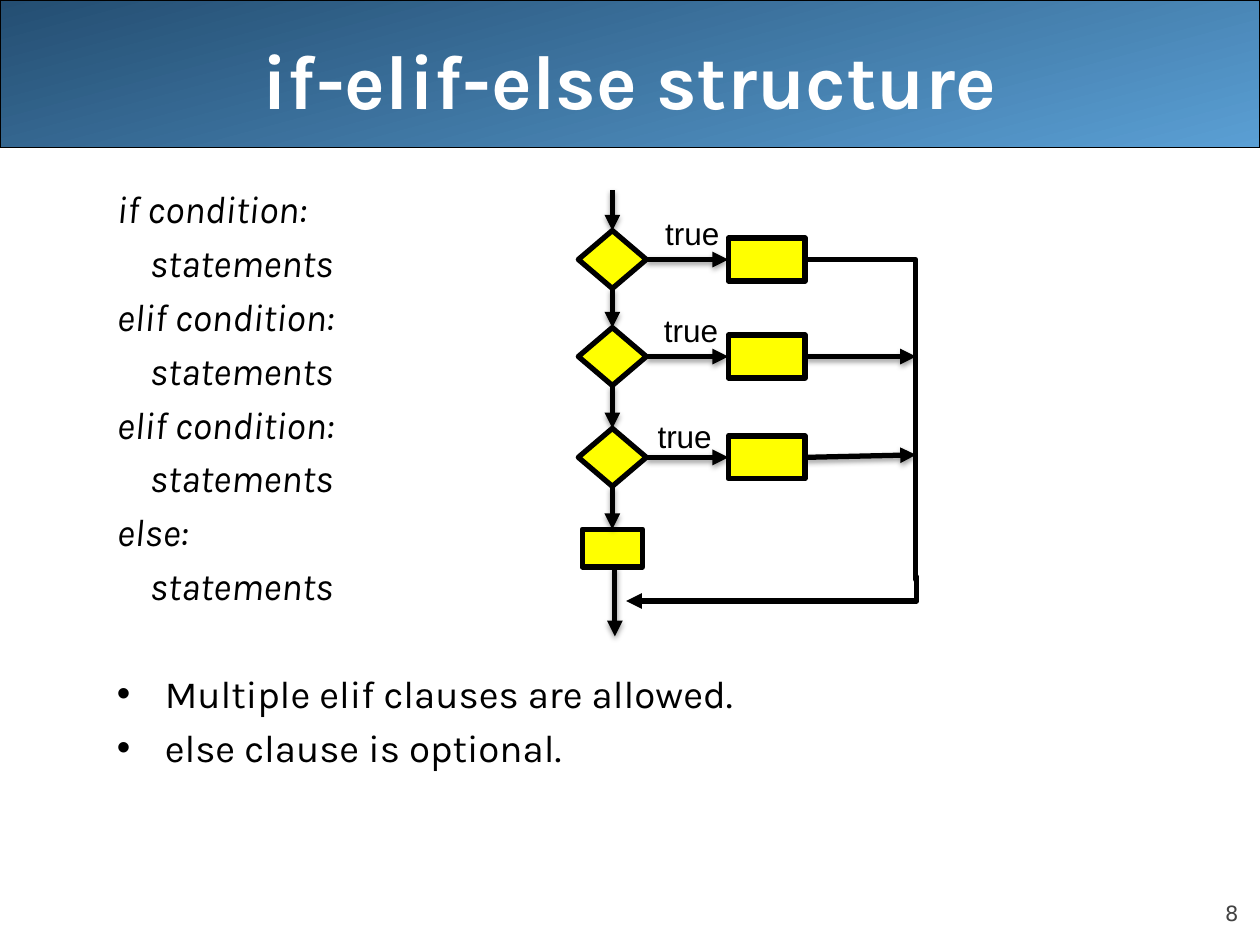
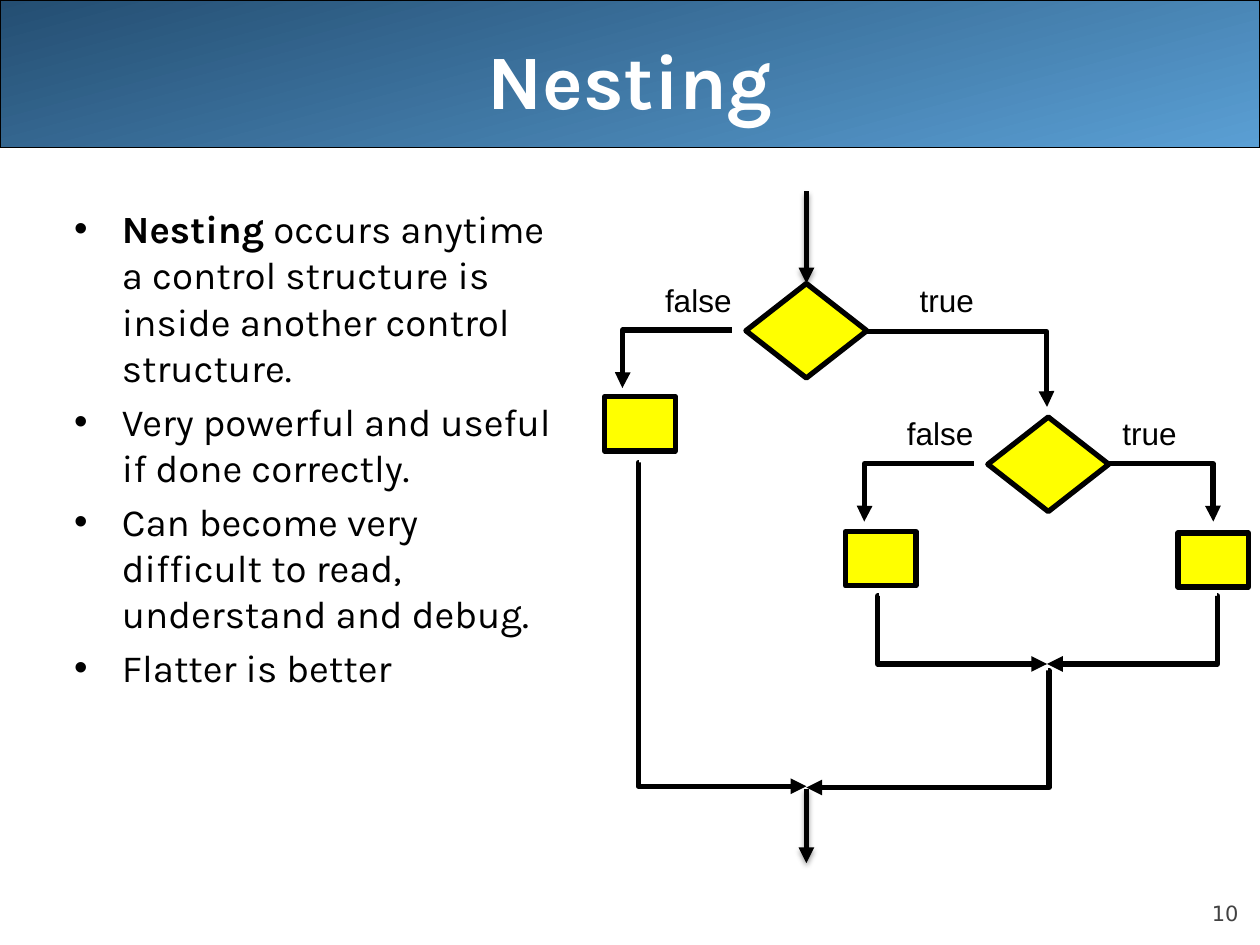
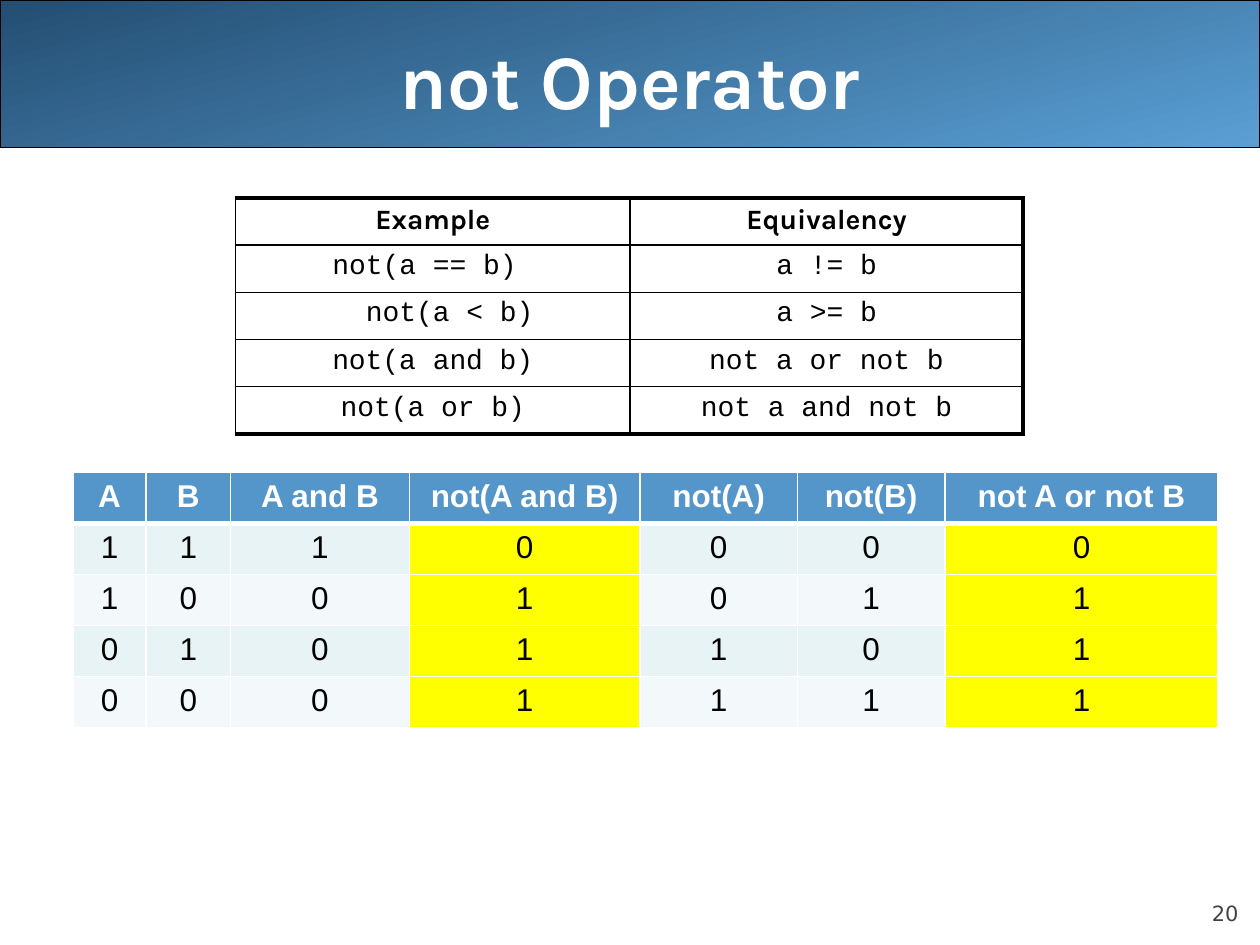
"""Build three lecture slides on branching, nesting and the not operator."""
from dataclasses import dataclass

from lxml import etree
from pptx import Presentation
from pptx.dml.color import RGBColor
from pptx.enum.shapes import MSO_CONNECTOR, MSO_SHAPE
from pptx.enum.text import MSO_ANCHOR, MSO_AUTO_SIZE, PP_ALIGN
from pptx.oxml.ns import qn
from pptx.util import Inches, Pt

RECTANGLE, DIAMOND = MSO_SHAPE.RECTANGLE, MSO_SHAPE.DIAMOND
STRAIGHT, ELBOW = MSO_CONNECTOR.STRAIGHT, MSO_CONNECTOR.ELBOW
LEFT, CENTER, RIGHT = PP_ALIGN.LEFT, PP_ALIGN.CENTER, PP_ALIGN.RIGHT
TOP, MIDDLE, BOTTOM = MSO_ANCHOR.TOP, MSO_ANCHOR.MIDDLE, MSO_ANCHOR.BOTTOM
NO_AUTOFIT = MSO_AUTO_SIZE.NONE
TOP_SIDE, LEFT_SIDE, BOTTOM_SIDE, RIGHT_SIDE = range(4)
ACROSS_FIRST, DOWN_FIRST = 99700, -300


@dataclass(frozen=True)
class Theme:
    """Colours, fonts and sizes shared by all slides."""
    black: str = "000000"
    white: str = "FFFFFF"
    yellow: str = "FFFF00"
    gray: str = "424242"
    band_dark: str = "244E72"
    band_light: str = "5A9FD4"
    header: str = "5496C9"
    stripes: tuple = ("E7F3F4", "F3F9FA")
    heading_font: str = "Karla"
    label_font: str = "Arial"
    code_font: str = "Courier New"
    number_font: str = "DejaVu Sans"
    title_size: float = 44
    body_size: float = 22
    label_size: float = 18
    code_size: float = 16
    number_size: float = 12
    body_gap: float = 4.4
    section_gap: float = 30.8
    stroke: float = 3
    band_stroke: float = 0.75

    def font(self, name, size, color, **extra):
        """Return the format values of a font."""
        return {"name": name, "size": Pt(size), "color": color, **extra}


def set_values(target, values):
    """Set each attribute of the target from a dict."""
    for name, value in values.items():
        setattr(target, name, value)


def set_font(font, values):
    """Apply format values and colour to a font."""
    set_values(font, {name: value for name, value in values.items() if name != "color"})
    font.color.rgb = RGBColor.from_string(values["color"])


def add_element(parent, tag, **attributes):
    """Append a drawing element with attributes."""
    return etree.SubElement(parent, qn(tag), {k: str(v) for k, v in attributes.items()})


def add_color(parent, color):
    """Append an RGB colour element."""
    return add_element(parent, "a:srgbClr", val=color)


class Deck:
    """Hold the theme, the presentation and the current slide."""

    def __init__(self, theme):
        """Start a presentation of 10 by 7.5 inches."""
        self.theme = theme
        self.presentation = Presentation()
        self.presentation.slide_width = Inches(10)
        self.presentation.slide_height = Inches(7.5)
        self.slide = None

    def start_slide(self, title, number):
        """Add a slide with band, title and slide number."""
        theme = self.theme
        self.slide = self.presentation.slides.add_slide(self.presentation.slide_layouts[5])
        self.add_band()
        placeholder = self.slide.shapes.title
        set_values(placeholder, dict(left=Inches(0.5), top=0, width=Inches(9), height=Inches(1.25)))
        set_values(placeholder.text_frame, dict(vertical_anchor=MIDDLE, auto_size=NO_AUTOFIT))
        title_font = theme.font(theme.heading_font, theme.title_size, theme.white, bold=True)
        self.add_run(placeholder.text_frame.paragraphs[0], title, title_font, CENTER)
        number_font = theme.font(theme.number_font, theme.number_size, theme.gray)
        self.add_text((9, 6.95, 0.83, 0.4), number, number_font, RIGHT, vertical_anchor=BOTTOM,
                      margin_left=0, margin_top=0, margin_right=0, margin_bottom=0)

    def add_band(self):
        """Draw the gradient band behind the title."""
        theme = self.theme
        band = self.add_node(RECTANGLE, (0, 0, 10, 1.17), theme.band_stroke)
        band.fill.gradient()
        band.fill.gradient_angle = 285
        for stop, color in zip(band.fill.gradient_stops, (theme.band_dark, theme.band_light)):
            stop.color.rgb = RGBColor.from_string(color)
        self.slide.shapes._spTree.insert(2, band._element)

    def add_run(self, paragraph, text, font, alignment=LEFT):
        """Add a formatted run to a paragraph."""
        paragraph.alignment = alignment
        run = paragraph.add_run()
        run.text = text
        set_font(run.font, font)

    def add_text(self, box, text, font, alignment=LEFT, **frame_values):
        """Add a text box holding one line."""
        frame = self.slide.shapes.add_textbox(*map(Inches, box)).text_frame
        set_values(frame, {"word_wrap": True, **frame_values})
        self.add_run(frame.paragraphs[0], text, font, alignment)

    def add_label(self, left, top, text):
        """Add the label of a branch."""
        theme = self.theme
        font = theme.font(theme.label_font, theme.label_size, theme.black)
        self.add_text((left, top, 0.73 if text == "false" else 0.65, 0.4), text, font, word_wrap=False)

    def add_body(self, box, lines):
        """Add body lines given as runs, left margin, bullet flag and space before."""
        theme = self.theme
        frame = self.slide.shapes.add_textbox(*map(Inches, box)).text_frame
        frame.word_wrap = True
        for index, (runs, margin, bullet, space) in enumerate(lines):
            paragraph = frame.add_paragraph() if index else frame.paragraphs[0]
            set_values(paragraph, dict(space_before=Pt(space), space_after=Pt(theme.body_gap)))
            for text, style in runs:
                font = theme.font(theme.heading_font, theme.body_size, theme.black, **style)
                self.add_run(paragraph, text, font)
            properties = paragraph._p.get_or_add_pPr()
            properties.set("marL", str(Inches(margin)))
            if bullet:
                properties.set("indent", str(-Inches(margin)))
                add_element(properties, "a:buFont", typeface=theme.label_font)
                add_element(properties, "a:buChar", char="•")

    def add_node(self, kind, box, stroke=None):
        """Add a yellow flowchart node."""
        theme = self.theme
        shape = self.slide.shapes.add_shape(kind, *map(Inches, box))
        shape.shadow.inherit = False
        shape.fill.solid()
        shape.fill.fore_color.rgb = RGBColor.from_string(theme.yellow)
        shape.line.color.rgb = RGBColor.from_string(theme.black)
        shape.line.width = Pt(stroke or theme.stroke)
        return shape

    def add_connector(self, kind, start, end, arrow):
        """Add a black connector and return it with its effect list."""
        theme = self.theme
        connector = self.slide.shapes.add_connector(kind, *map(Inches, (*start, *end)))
        connector.line.color.rgb = RGBColor.from_string(theme.black)
        connector.line.width = Pt(theme.stroke)
        if arrow:
            add_element(connector.line._get_or_add_ln(), "a:tailEnd", type="triangle")
        return connector, add_element(connector._element.spPr, "a:effectLst")

    def add_arrow(self, start, end, begin=None, finish=None):
        """Add a straight arrow with a soft shadow, joined to (shape, side) pairs."""
        connector, effects = self.add_connector(STRAIGHT, start, end, True)
        shadow = add_element(effects, "a:outerShdw", blurRad=Pt(3.1), dist=Pt(1.6),
                             dir=5400000, rotWithShape=0)
        add_element(add_color(shadow, self.theme.black), "a:alpha", val=38000)
        if begin:
            connector.begin_connect(*begin)
        if finish:
            connector.end_connect(*finish)

    def add_elbow(self, start, end, bend, arrow=True):
        """Add a connector with one right-angled corner."""
        connector, _ = self.add_connector(ELBOW, start, end, arrow)
        adjustments = connector._element.spPr.find(qn("a:prstGeom")).find(qn("a:avLst"))
        add_element(adjustments, "a:gd", name="adj1", fmla=f"val {bend}")

    def add_table(self, left, top, widths, row_height, rows, cell_style):
        """Add a table whose cells are styled by a rule of row and column."""
        frame = self.slide.shapes.add_table(
            len(rows), len(widths), Inches(left), Inches(top),
            Inches(sum(widths)), Inches(row_height * len(rows)))
        table = frame.table
        set_values(table, dict(first_row=False, horz_banding=False))
        for column, width in zip(table.columns, widths):
            column.width = Inches(width)
        for row_index, texts in enumerate(rows):
            table.rows[row_index].height = Inches(row_height)
            for column_index, text in enumerate(texts):
                cell = table.cell(row_index, column_index)
                font, fill, border_color, borders = cell_style(row_index, column_index)
                cell.vertical_anchor = TOP
                self.add_run(cell.text_frame.paragraphs[0], text, font, CENTER)
                for side, width in zip("LRTB", borders):
                    border = add_element(cell._tc.get_or_add_tcPr(), f"a:ln{side}", w=Pt(width))
                    add_color(add_element(border, "a:solidFill"), border_color)
                if fill:
                    cell.fill.solid()
                    cell.fill.fore_color.rgb = RGBColor.from_string(fill)
                else:
                    cell.fill.background()
        return table


def build_branching(deck):
    """Build the slide on the if-elif-else structure."""
    deck.start_slide("if-elif-else structure", "8")
    italic = {"italic": True}
    lines = []
    for keyword in ("if condition:", "elif condition:", "elif condition:", "else:"):
        lines.append(([(keyword, italic)], 0, False, 0))
        lines.append(([("statements", italic)], 0.26, False, 0))
    gap = deck.theme.section_gap
    lines.append(([("Multiple elif clauses are allowed.", {})], 0.38, True, gap))
    lines.append(([("else clause is optional.", {})], 0.38, True, 0))
    deck.add_body((0.83, 1.42, 5.87, 4.83), lines)

    merge_x = 7.27
    previous = None
    for top, label_left, label_top in ((1.83, 5.18, 1.65), (2.6, 5.17, 2.42), (3.4, 5.12, 3.26)):
        middle = top + 0.23
        condition = deck.add_node(DIAMOND, (4.59, top, 0.54, 0.46))
        statement = deck.add_node(RECTANGLE, (5.78, top + 0.06, 0.61, 0.34))
        deck.add_label(label_left, label_top, "true")
        deck.add_arrow((4.86, top - 0.32), (4.86, top), previous, (condition, TOP_SIDE))
        deck.add_arrow((5.13, middle), (5.78, middle),
                       (condition, RIGHT_SIDE), (statement, LEFT_SIDE))
        if previous:
            deck.add_arrow((6.39, middle), (merge_x, min(middle, 3.61)), (statement, RIGHT_SIDE))
        else:
            deck.add_elbow((6.39, middle), (merge_x, 4.6), ACROSS_FIRST, arrow=False)
        previous = (condition, BOTTOM_SIDE)
    otherwise = deck.add_node(RECTANGLE, (4.62, 4.2, 0.48, 0.3))
    deck.add_arrow((4.86, 3.86), (4.86, 4.2), previous, (otherwise, TOP_SIDE))
    deck.add_arrow((4.88, 4.5), (4.88, 5.05))
    deck.add_elbow((merge_x, 4.58), (4.97, 4.77), DOWN_FIRST)


def build_nesting(deck):
    """Build the slide on nested control structures."""
    deck.start_slide("Nesting", "10")
    points = (
        [("Nesting", {"bold": True}),
         (" occurs anytime a control structure is inside another control structure.", {})],
        [("Very powerful and useful if done correctly.", {})],
        [("Can become very difficult to read, understand and debug.", {})],
        [("Flatter is better", {})],
    )
    deck.add_body((0.49, 1.58, 4, 4.17), [(runs, 0.38, True, 0) for runs in points])

    for left, top, text in ((5.18, 2.18, "false"), (7.2, 2.18, "true"),
                            (7.1, 3.24, "false"), (8.81, 3.24, "true")):
        deck.add_label(left, top, text)
    outer, _ = [deck.add_node(DIAMOND, (left, top, 0.96, 0.75))
                for left, top in ((5.92, 2.25), (7.84, 3.31))]
    for left, top in ((9.35, 4.23), (6.71, 4.22), (4.8, 3.15)):
        deck.add_node(RECTANGLE, (left, top, 0.56, 0.43))
    deck.add_arrow((6.4, 1.52), (6.4, 2.25), finish=(outer, TOP_SIDE))
    deck.add_arrow((6.4, 6.26), (6.4, 6.85))
    for start, end in (((6.87, 2.63), (8.31, 3.23)), ((5.81, 2.62), (4.94, 3.08)),
                       ((8.76, 3.68), (9.63, 4.14)), ((7.73, 3.68), (6.86, 4.14))):
        deck.add_elbow(start, end, ACROSS_FIRST)
    for start, end in (((5.07, 3.67), (6.4, 6.24)), ((9.66, 4.73), (8.31, 5.27)),
                       ((6.97, 4.73), (8.31, 5.27)), ((8.32, 5.32), (6.4, 6.25))):
        deck.add_elbow(start, end, DOWN_FIRST)


def build_not_operator(deck):
    """Build the slide on the not operator."""
    theme = deck.theme
    deck.start_slide("not Operator", "20")
    examples = (
        ("Example", "Equivalency"),
        ("not(a == b)", "a != b"),
        ("not(a < b)", "a >= b"),
        ("not(a and b)", "not a or not b"),
        ("not(a or b)", "not a and not b"),
    )
    truth = (
        ("A", "B", "A and B", "not(A and B)", "not(A)", "not(B)", "not A or not B"),
        *("1110000", "1001011", "0101101", "0001111"),
    )

    def example_style(row, column):
        """Style a cell with a heavier outer frame."""
        name = theme.code_font if row else theme.heading_font
        font = theme.font(name, theme.code_size, theme.black, bold=row == 0)
        borders = (1, 2.25 if column == 1 else 1, 1 if row else 2.25, 2.25 if row == 4 else 1)
        return font, None, theme.black, borders

    def truth_style(row, column):
        """Style a cell with a header row, stripes and highlighted columns."""
        color = theme.black if row else theme.white
        font = theme.font(theme.label_font, theme.label_size, color, bold=row == 0)
        if row == 0:
            fill = theme.header
        else:
            fill = theme.yellow if column in (3, 6) else theme.stripes[(row - 1) % 2]
        return font, fill, theme.white, (1, 1, 3 if row == 1 else 1, 1 if row else 3)

    table = deck.add_table(1.87, 1.57, (3.13, 3.12), 0.375, examples, example_style)
    table.cell(1, 0).margin_right = Inches(0.23)
    table.cell(2, 0).margin_left = Inches(0.37)
    deck.add_table(0.58, 3.75, (0.58, 0.67, 1.42, 1.83, 1.25, 1.17, 2.17), 0.405,
                   truth, truth_style)


def main():
    """Build and save the slides."""
    deck = Deck(Theme())
    build_branching(deck)
    build_nesting(deck)
    build_not_operator(deck)
    deck.presentation.save("out.pptx")


if __name__ == "__main__":
    main()
